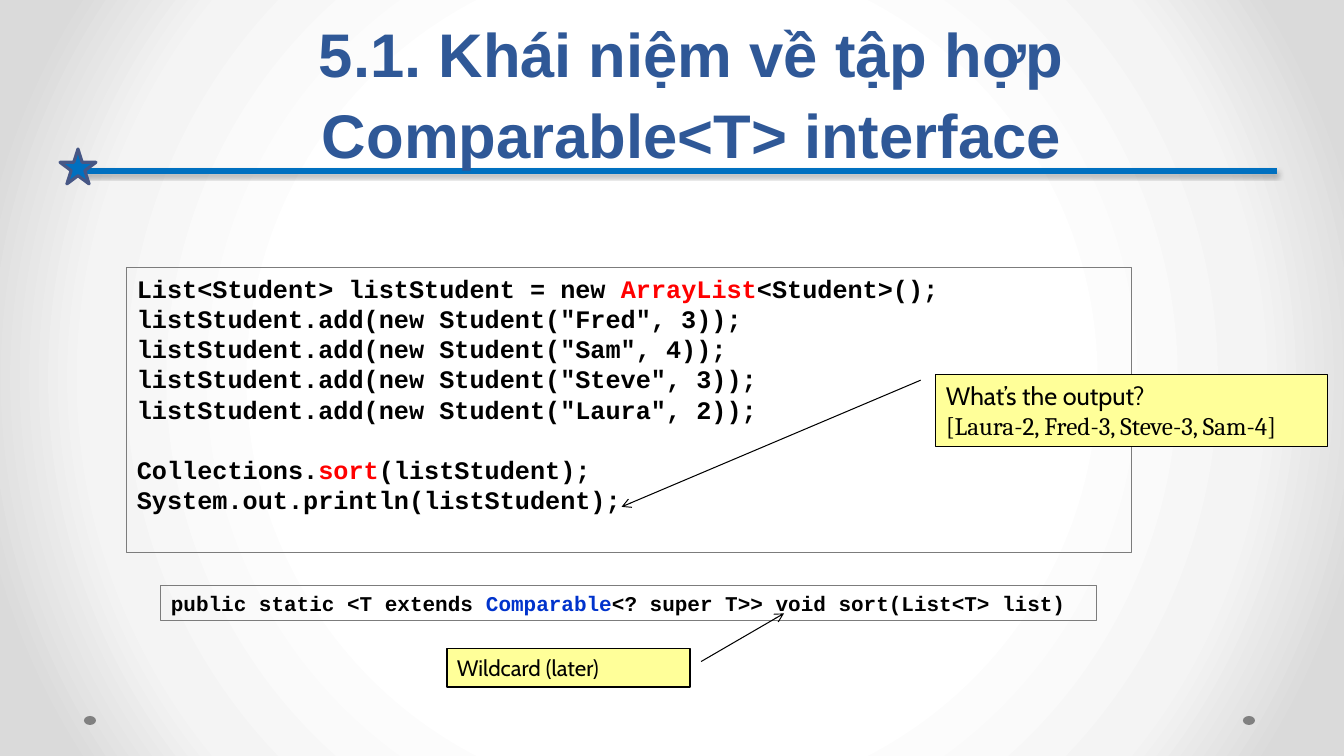
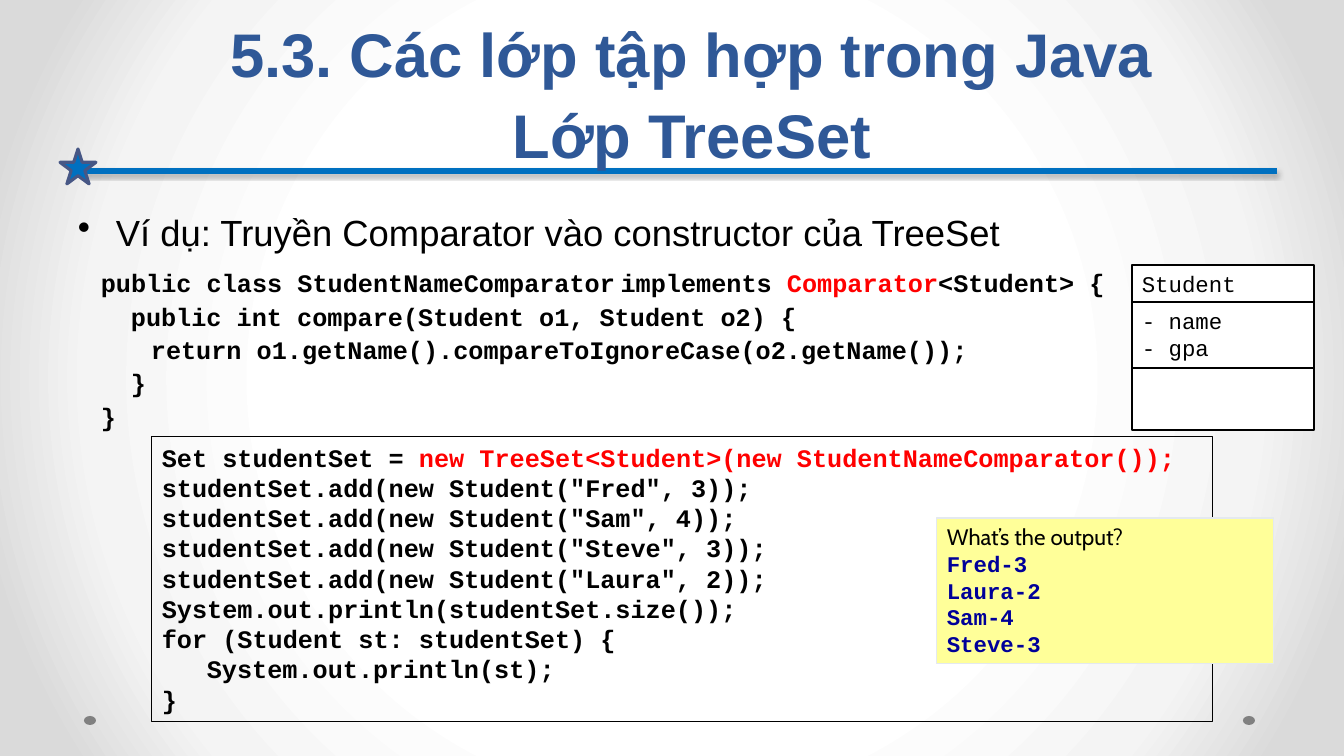
import pptx
import pptx.util
import pptx.dml.color
import pptx.enum.shapes
import pptx.enum.text
import pptx.oxml
import pptx.oxml.ns

SCALE = 12192000 / 1344
KIND = pptx.enum.shapes.MSO_SHAPE
ALIGN = pptx.enum.text.PP_ALIGN
ANCHOR = pptx.enum.text.MSO_ANCHOR
SPACE = "http://schemas.openxmlformats.org/drawingml/2006/main"

SANS, MONO, SERIF, NOTE = "Arial", "Courier New", "Cambria", "Cabin"
BLACK, RED, GRAY, YELLOW = "000000", "FF0000", "7C7C7C", "FFFF99"
BLUE, NAVY, WHITE = "0070C0", "2F5897", "FFFFFF"
STOPS = [(50, WHITE), (76, "F4F4F4"), (92, "DADADA")]
HOT = {"color": RED}
CODE = {"font": MONO, "bold": True}
ANSWER = {"font": MONO, "bold": True, "color": "000099"}
PUPILS = [("Fred", 3), ("Sam", 4), ("Steve", 3), ("Laura", 2)]


def adds(name):
    return [[f'{name}.add(new Student("{who}", {gpa}));'] for who, gpa in PUPILS]


SORT = [
    ["List<Student> listStudent = new ", ("ArrayList", HOT), "<Student>();"],
    *adds("listStudent"),
    [{"before": 21.6}, "Collections.", ("sort", HOT), "(listStudent);"],
    ["System.out.println(listStudent);"],
]
HEAD = [["public static <T extends ", ("Comparable", {"color": "0033CC"}),
         "<? super T>> void sort(List<T> list)"]]
RESULT = [["What’s the output?"],
          [("[Laura-2, Fred-3, Steve-3, Sam-4]", {"font": SERIF})]]
CALLS = [
    ((936, 375, 392, 72), (0.073, -0.039, 1.832, -0.802), RESULT, 18),
    ((447, 649, 243, 38), (0.33, 1.046, -0.936, 1.387), [["Wildcard (later)"]], 16),
]

LEAD = [["Ví dụ: Truyền Comparator vào constructor của TreeSet"]]
CLASS = [
    ["public class StudentNameComparator", (" ", {"font": SERIF}), "implements ",
     ("Comparator", HOT), "<Student> {"],
    [{"left": 30}, "public int compare(Student o1, Student o2) {"],
    [{"left": 50}, "return o1.getName().compareToIgnoreCase(o2.getName());"],
    [{"left": 30}, "}"],
    ["}"],
]
TREE = [
    ["Set studentSet = ",
     ("new TreeSet<Student>(new StudentNameComparator());", HOT)],
    *adds("studentSet"),
    ["System.out.println(studentSet.size());"],
    ["for (Student st: studentSet) {"],
    [{"left": 45}, "System.out.println(st);"],
    ["}"],
]
NAMES = [["What’s the output?"]] + [
    [(f"{who}-{gpa}", ANSWER)] for who, gpa in sorted(PUPILS)]
UML = [(37, [["Student"]]), (66, [["- name"], ["- gpa"]]), (62, [])]


def px(num):
    return pptx.util.Emu(round(num * SCALE))


def rgb(code):
    return pptx.dml.color.RGBColor.from_string(code)


def xml(text):
    return pptx.oxml.parse_xml(text.replace(">", f' xmlns:a="{SPACE}">', 1))


def write(shape, paras, size=18, font=SANS, color=BLACK, bold=False,
          align=ALIGN.LEFT, anchor=ANCHOR.TOP, lead=1.2, mark=None):
    frame = shape.text_frame
    frame.word_wrap = True
    frame.vertical_anchor = anchor
    for num, parts in enumerate(paras):
        para = frame.paragraphs[0] if num == 0 else frame.add_paragraph()
        para.alignment = align
        para.line_spacing = pptx.util.Pt(round(size * lead, 1))
        for part in parts:
            if isinstance(part, dict):
                para.space_before = pptx.util.Pt(part.get("before", 0))
                para._p.get_or_add_pPr().set("marL", str(px(part.get("left", 0))))
                continue
            text, look = part if isinstance(part, tuple) else (part, {})
            run = para.add_run()
            run.text = text
            run.font.size = pptx.util.Pt(size)
            run.font.name = look.get("font", font)
            run.font.bold = look.get("bold", bold)
            run.font.color.rgb = rgb(look.get("color", color))
        if mark:
            prop = para._p.get_or_add_pPr()
            prop.set("marL", str(px(38)))
            prop.set("indent", str(px(-38)))
            prop.append(xml(f'<a:buChar char="{mark}"></a:buChar>'))


def draw(slide, area, kind=KIND.RECTANGLE, fill=None, line=None, width=0.75):
    shape = slide.shapes.add_shape(kind, *map(px, area))
    shape.shadow.inherit = False
    if fill:
        shape.fill.solid()
        shape.fill.fore_color.rgb = rgb(fill)
    else:
        shape.fill.background()
    if line:
        shape.line.color.rgb = rgb(line)
        shape.line.width = pptx.util.Pt(width)
    else:
        shape.line.fill.background()
    return shape


def label(slide, area, paras, **look):
    write(slide.shapes.add_textbox(*map(px, area)), paras, **look)


def shade(slide):
    slide.background.fill.gradient()
    old = slide.element.find(".//" + pptx.oxml.ns.qn("a:gradFill"))
    stops = "".join(f'<a:gs pos="{pos}000"><a:srgbClr val="{code}"/></a:gs>'
                    for pos, code in STOPS)
    new = xml(f'<a:gradFill rotWithShape="1"><a:gsLst>{stops}</a:gsLst>'
              '<a:path path="circle"><a:fillToRect l="50000" t="50000" r="50000" '
              'b="50000"/></a:path></a:gradFill>')
    old.getparent().replace(old, new)


def start(deck, *title):
    slide = deck.slides.add_slide(deck.slide_layouts[6])
    shade(slide)
    for left in (84, 1243):
        draw(slide, (left, 716, 12, 9), KIND.OVAL, fill="808080")
    rule = slide.shapes.add_connector(
        pptx.enum.shapes.MSO_CONNECTOR.STRAIGHT, px(85), px(171), px(1277), px(171))
    rule.line.color.rgb = rgb(BLUE)
    rule.line.width = pptx.util.Pt(4)
    rule._element.spPr.append(xml(
        '<a:effectLst><a:outerShdw blurRad="39400" dist="22900" dir="5400000">'
        '<a:srgbClr val="000000"><a:alpha val="35000"/></a:srgbClr>'
        '</a:outerShdw></a:effectLst>'))
    draw(slide, (60, 149, 36, 35), KIND.STAR_5_POINT, BLUE, "475785", 2.25)
    label(slide, (109, 19, 1166, 157), [[row] for row in title], size=44,
          color=NAVY, bold=True, align=ALIGN.CENTER, anchor=ANCHOR.BOTTOM,
          lead=58 / 44)
    return slide


def sorting(deck):
    slide = start(deck, "5.1. Khái niệm về tập hợp", "Comparable<T> interface")
    write(draw(slide, (127, 268, 1005, 285), line=GRAY), SORT, **CODE)
    write(draw(slide, (161, 586, 936, 35), line=GRAY), HEAD, size=15,
          anchor=ANCHOR.MIDDLE, **CODE)
    for area, bends, paras, size in CALLS:
        call = draw(slide, area, KIND.LINE_CALLOUT_1, YELLOW, BLACK)
        for num, bend in enumerate(bends):
            call.adjustments[num] = bend
        call.line._get_or_add_ln().append(xml('<a:tailEnd type="arrow"></a:tailEnd>'))
        write(call, paras, size=size, font=NOTE)


def trees(deck):
    slide = start(deck, "5.3. Các lớp tập hợp trong Java", "Lớp TreeSet")
    label(slide, (68, 205, 1209, 55), LEAD, size=26, mark="•")
    write(draw(slide, (152, 437, 1061, 285), line=BLACK), TREE, **CODE)
    label(slide, (91, 259, 1053, 178), CLASS, anchor=ANCHOR.MIDDLE,
          lead=1.32, **CODE)
    write(draw(slide, (937, 518, 337, 146), fill=YELLOW, line="E4E9EF"), NAMES,
          size=16, font=NOTE)
    top = 265
    for high, paras in UML:
        write(draw(slide, (1132, top, 182, high), fill=WHITE, line=BLACK, width=1),
              paras, size=16, font=MONO)
        top += high


def main():
    deck = pptx.Presentation()
    deck.slide_width, deck.slide_height = px(1344), px(756)
    sorting(deck)
    trees(deck)
    deck.save("out.pptx")


if __name__ == "__main__":
    main()
